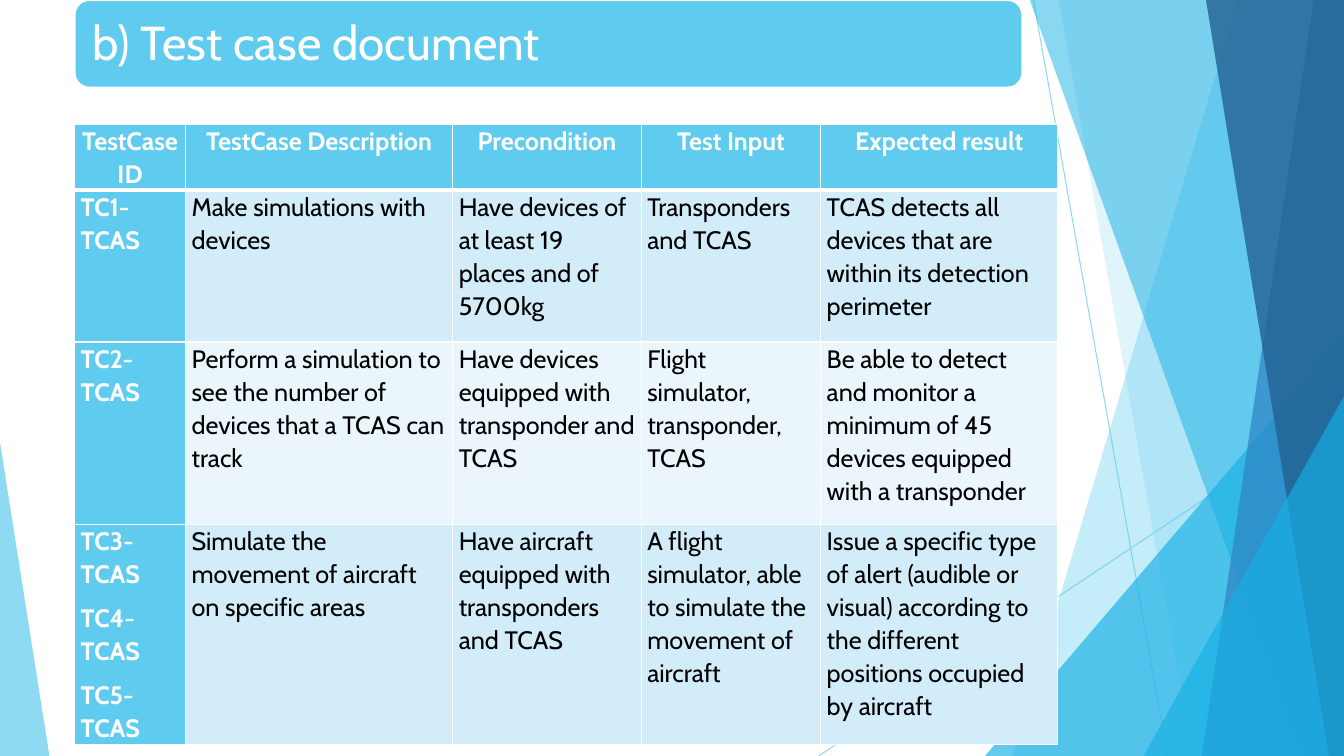
from lxml import etree
from pptx import Presentation
from pptx.dml.color import RGBColor
from pptx.enum.shapes import MSO_CONNECTOR, MSO_SHAPE
from pptx.enum.text import MSO_ANCHOR, MSO_AUTO_SIZE, PP_ALIGN
from pptx.oxml import parse_xml
from pptx.oxml.ns import nsdecls, qn
from pptx.util import Inches, Pt

STRAIGHT = MSO_CONNECTOR.STRAIGHT
TRIANGLE = MSO_SHAPE.ISOSCELES_TRIANGLE
ROUNDED = MSO_SHAPE.ROUNDED_RECTANGLE
LEFT, CENTER = PP_ALIGN.LEFT, PP_ALIGN.CENTER
MIDDLE = MSO_ANCHOR.MIDDLE
NO_FIT = MSO_AUTO_SIZE.NONE

FONT = "Cabin"
COLORS = {
    "sky": "5FCBEF", "cyan": "17B0E4", "blue": "2E83C3", "navy": "226292",
    "white": "FFFFFF", "black": "000000", "band": "D2ECF9", "pale": "EAF6FC",
}
WIDTH, HEIGHT = 13.33, 7.5

COLUMNS = [1.1, 2.65, 1.87, 1.78, 2.35]
ROWS = [0.63, 1.51, 1.81, 2.16]
CELLS = [
    ["TestCase ID", "TestCase Description", "Precondition", "Test Input",
     "Expected result"],
    ["TC1-TCAS", "Make simulations with devices",
     "Have devices of at least 19 places and of 5700kg",
     "Transponders and TCAS",
     "TCAS detects all devices that are within its detection perimeter"],
    ["TC2-TCAS",
     "Perform a simulation to see the number of devices that a TCAS can track",
     "Have devices equipped with transponder and TCAS",
     "Flight simulator, transponder, TCAS",
     "Be able to detect and monitor a minimum of 45 devices equipped with a "
     "transponder"],
    ["TC3-TCAS\nTC4-TCAS\nTC5-TCAS",
     "Simulate the movement of aircraft on specific areas",
     "Have aircraft equipped with transponders and TCAS",
     "A flight simulator, able to simulate the movement of aircraft",
     "Issue a specific type of alert (audible or visual) according to the "
     "different positions occupied by aircraft"],
]


def rgb(name):
    return RGBColor.from_string(COLORS[name])


def set_opacity(shape, percent):
    """Make the shape's one solid colour, fill or line, translucent."""
    color = next(shape._element.spPr.iter(qn("a:srgbClr")))
    etree.SubElement(color, qn("a:alpha")).set("val", str(percent * 1000))


def paint_facet(shape, color, opacity):
    shape.shadow.inherit = False
    shape.fill.solid()
    shape.fill.fore_color.rgb = rgb(color)
    set_opacity(shape, opacity)
    shape.line.fill.background()


def add_ray(page, start, end):
    ray = page.shapes.add_connector(STRAIGHT, *map(Inches, start + end))
    ray.line.color.rgb = rgb("sky")
    ray.line.width = Pt(0.75)
    set_opacity(ray, 70)
    etree.SubElement(ray._element.spPr, qn("a:effectLst"))


def add_shard(page, top_x, bottom_x, color, opacity):
    """Fill the area between a slanted edge and the right side of the page."""
    top = -0.01
    corners = [(top_x, top), (WIDTH, top), (WIDTH, HEIGHT), (bottom_x, HEIGHT)]
    points = [(Inches(x), Inches(y)) for x, y in corners]
    builder = page.shapes.build_freeform(*points[0], scale=1.0)
    builder.add_line_segments(points[1:], close=True)
    paint_facet(builder.convert_to_shape(), color, opacity)


def add_triangle(page, left, top, width, apex, color, opacity):
    """Stand a triangle on the bottom edge; apex runs from 0 left to 1 right."""
    triangle = page.shapes.add_shape(
        TRIANGLE, *map(Inches, (left, top, width, HEIGHT - top)))
    triangle.adjustments[0] = apex
    paint_facet(triangle, color, opacity)


def add_backdrop(page):
    add_ray(page, (10.25, 0), (11.58, HEIGHT))
    add_ray(page, (WIDTH, 4.03), (8.12, HEIGHT))
    add_shard(page, 12.28, 10.04, "sky", 36)
    add_shard(page, 10.5, 11.83, "sky", 20)
    add_triangle(page, 9.77, 3.33, 3.56, 1, "cyan", 66)
    add_shard(page, 10.21, 12.91, "cyan", 50)
    add_shard(page, 13.03, 11.92, "blue", 70)
    add_shard(page, 11.96, 13.18, "navy", 80)
    add_triangle(page, 11.34, 3.93, 1.99, 1, "cyan", 66)
    add_triangle(page, 0, 4.39, 0.49, 0, "sky", 70)


def style_para(para, size, color, bold, align, spacing):
    para.alignment = align
    para.line_spacing = spacing
    para.font.name = FONT
    para.font.size = Pt(size)
    para.font.bold = bold
    para.font.color.rgb = rgb(color)


def add_title(page, text):
    banner = page.shapes.add_shape(
        ROUNDED, *map(Inches, (0.74, 0, 9.4, 0.87)))
    banner.shadow.inherit = False
    banner.fill.solid()
    banner.fill.fore_color.rgb = rgb("sky")
    banner.line.color.rgb = rgb("white")
    banner.line.width = Pt(1.5)

    title = page.shapes.title
    banner._element.addnext(title._element)  # bring the title in front
    title.left, title.top = Inches(0.78), Inches(0.05)
    title.width, title.height = Inches(9.32), Inches(0.79)
    frame = title.text_frame
    frame.text = text
    frame.word_wrap = True
    frame.auto_size = NO_FIT
    frame.vertical_anchor = MIDDLE
    frame.margin_left = frame.margin_right = Inches(0.14)
    frame.margin_top = frame.margin_bottom = Inches(0.14)
    style_para(frame.paragraphs[0], 34, "white", False, LEFT, 0.9)


def set_borders(cell, top, bottom):
    properties = cell._tc.get_or_add_tcPr()
    for side, width in (("L", 1), ("R", 1), ("T", top), ("B", bottom)):
        properties.append(parse_xml(
            f'<a:ln{side} {nsdecls("a")} w="{Pt(width)}"><a:solidFill>'
            f'<a:srgbClr val="{COLORS["white"]}"/></a:solidFill></a:ln{side}>'))


def fill_cell(cell, text, row, column):
    is_head = row == 0
    is_label = is_head or column == 0
    set_borders(cell, top=3 if row == 1 else 1, bottom=3 if is_head else 1)
    cell.fill.solid()
    cell.fill.fore_color.rgb = rgb(
        "sky" if is_label else "band" if row % 2 else "pale")
    cell.margin_left = cell.margin_right = Inches(0.06)
    cell.margin_top = cell.margin_bottom = 0
    cell.text = text
    for para in cell.text_frame.paragraphs:
        style_para(para, 18, "white" if is_label else "black", is_label,
                   CENTER if is_head else LEFT, 1.07)
        para.space_after = Pt(8)


def add_test_table(page):
    table = page.shapes.add_table(
        len(ROWS), len(COLUMNS), Inches(0.74), Inches(1.23),
        Inches(sum(COLUMNS)), Inches(sum(ROWS))).table
    for column, width in zip(table.columns, COLUMNS):
        column.width = Inches(width)
    for row, height in zip(table.rows, ROWS):
        row.height = Inches(height)
    for row, texts in enumerate(CELLS):
        for column, text in enumerate(texts):
            fill_cell(table.cell(row, column), text, row, column)


def main():
    deck = Presentation()
    deck.slide_width, deck.slide_height = Inches(WIDTH), Inches(HEIGHT)
    page = deck.slides.add_slide(deck.slide_layouts.get_by_name("Title Only"))
    add_backdrop(page)
    add_title(page, "b) Test case document")
    add_test_table(page)
    deck.save("out.pptx")


if __name__ == "__main__":
    main()
